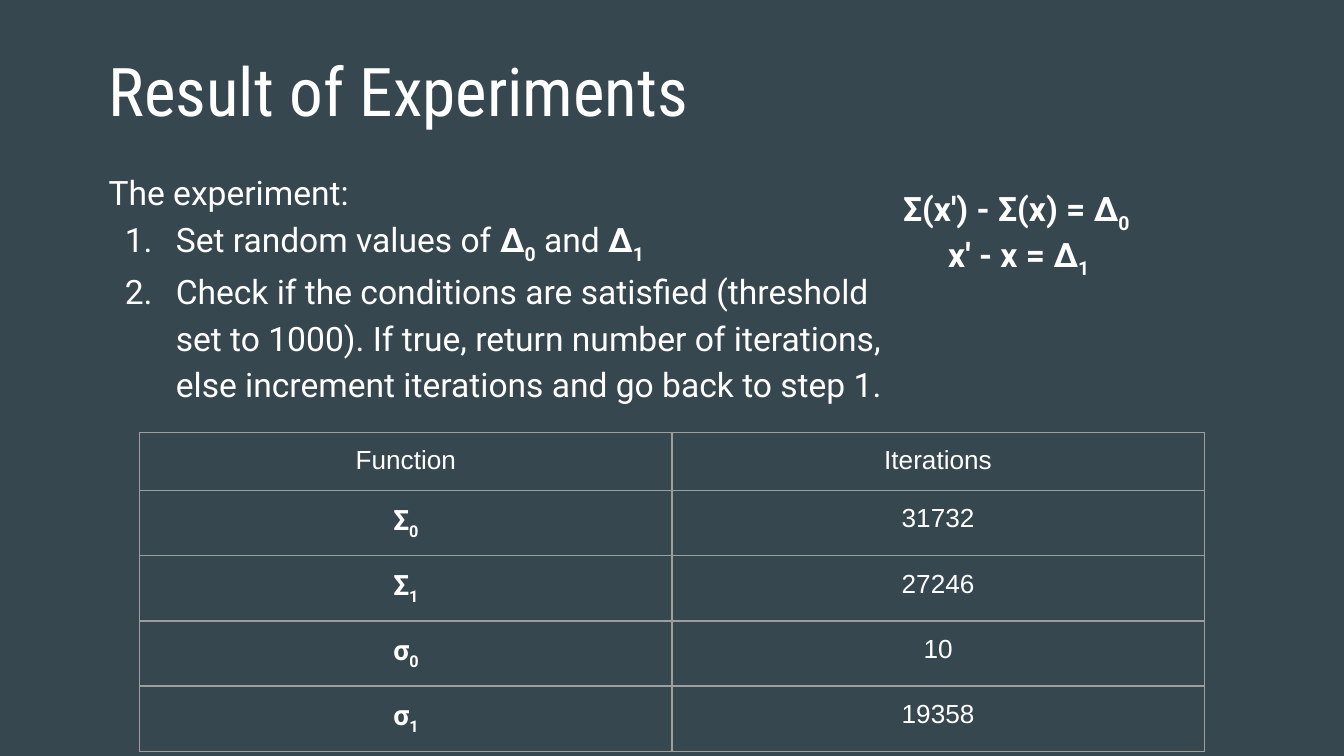
from lxml import etree
from pptx import Presentation, util as u
from pptx.dml.color import RGBColor
from pptx.enum import text
from pptx.oxml.ns import qn

WIDTH = u.Inches(10)
HEIGHT = WIDTH * 9 // 16
INSET = u.Inches(0.1)
BACKGROUND, INK, RULE = "37474F", "FFFFFF", "9E9E9E"
PLAIN_TABLE = "{2D5ABB26-0587-4C30-8999-92F81FD0307C}"
RESULTS = [("Σ", "0", "31732"), ("Σ", "1", "27246"),
           ("σ", "0", "10"), ("σ", "1", "19358")]


def across(percent):
    return round(WIDTH * percent / 100)


def down(percent):
    return round(HEIGHT * percent / 100)


def color(hex_code):
    return RGBColor.from_string(hex_code)


def write(paragraph, pieces, size, font="Roboto"):
    for words, style in pieces:
        run = paragraph.add_run()
        run.text = words
        run.font.size = u.Pt(size)
        run.font.name = font
        run.font.bold = "b" in style
        run.font.color.rgb = color(INK)
        if "_" in style:
            run.font._element.set("baseline", "-25000")


def indexed(letter, index):
    return [(letter, "b"), (index, "b_")]


def number(paragraph):
    properties = paragraph._p.get_or_add_pPr()
    properties.set("marL", str(u.Inches(0.5)))
    properties.set("indent", str(-u.Inches(0.38)))
    tint = etree.SubElement(properties, qn("a:buClr"))
    etree.SubElement(tint, qn("a:srgbClr"), val=INK)
    etree.SubElement(properties, qn("a:buFont"), typeface="Roboto")
    etree.SubElement(properties, qn("a:buAutoNum"), type="arabicPeriod")


def add_text(slide, left, top, width, height, lines, size=18, font="Roboto",
             align=text.PP_ALIGN.LEFT, anchor=text.MSO_ANCHOR.TOP, spacing=None):
    frame = slide.shapes.add_textbox(
        across(left), down(top), across(width), down(height)).text_frame
    frame.word_wrap = True
    frame.vertical_anchor = anchor
    frame.margin_left = frame.margin_right = INSET
    frame.margin_top = frame.margin_bottom = INSET
    for position, pieces in enumerate(lines):
        paragraph = frame.add_paragraph() if position else frame.paragraphs[0]
        paragraph.alignment = align
        if spacing:
            paragraph.line_spacing = spacing
        write(paragraph, pieces, size, font)
    return frame


def fill_cell(cell, pieces, size, font):
    cell.margin_left = cell.margin_right = INSET
    cell.margin_top = cell.margin_bottom = INSET
    paragraph = cell.text_frame.paragraphs[0]
    paragraph.alignment = text.PP_ALIGN.CENTER
    write(paragraph, pieces, size, font)
    properties = cell._tc.get_or_add_tcPr()
    for side in ("lnL", "lnR", "lnT", "lnB"):
        border = etree.SubElement(properties, qn(f"a:{side}"), w=str(u.Pt(0.75)))
        paint = etree.SubElement(border, qn("a:solidFill"))
        etree.SubElement(paint, qn("a:srgbClr"), val=RULE)
    cell.fill.background()


def add_results(slide):
    row = down(7.4)
    table = slide.shapes.add_table(
        len(RESULTS) + 1, 2, across(10.4), down(57.2),
        across(79.2), row * (len(RESULTS) + 1)).table
    table._tbl.tblPr.find(qn("a:tableStyleId")).text = PLAIN_TABLE
    table.first_row = table.horz_banding = False
    for line in table.rows:
        line.height = row
    for column, label in enumerate(("Function", "Iterations")):
        fill_cell(table.cell(0, column), [(label, "")], 14, "Arial")
    for position, (letter, index, iterations) in enumerate(RESULTS, 1):
        fill_cell(table.cell(position, 0), indexed(letter, index), 15, "Roboto")
        fill_cell(table.cell(position, 1), [(iterations, "")], 14, "Arial")


def main():
    deck = Presentation()
    deck.slide_width, deck.slide_height = WIDTH, HEIGHT
    slide = deck.slides.add_slide(deck.slide_layouts[6])
    slide.background.fill.solid()
    slide.background.fill.fore_color.rgb = color(BACKGROUND)

    add_text(slide, 7.1, 3.4, 85.9, 16.8, [[("Result of Experiments", "")]],
             36, "Roboto Condensed", anchor=text.MSO_ANCHOR.MIDDLE)
    experiment = add_text(slide, 7.1, 20.2, 60.2, 24.9, [
        [("The experiment:", "")],
        [("Set random values of ", ""), *indexed("Δ", "0"),
         (" and ", ""), *indexed("Δ", "1")],
        [("Check if the conditions are satisfied (threshold set to 1000). "
          "If true, return number of iterations, else increment iterations "
          "and go back to step 1.", "")],
    ], spacing=1.15)
    for step in experiment.paragraphs[1:]:
        number(step)
    add_text(slide, 59.4, 23.1, 32.8, 16.7, [
        indexed("Σ(x') - Σ(x) = Δ", "0 "),
        indexed("x' - x = Δ", "1"),
    ], align=text.PP_ALIGN.CENTER)
    add_results(slide)
    deck.save("out.pptx")


if __name__ == "__main__":
    main()
